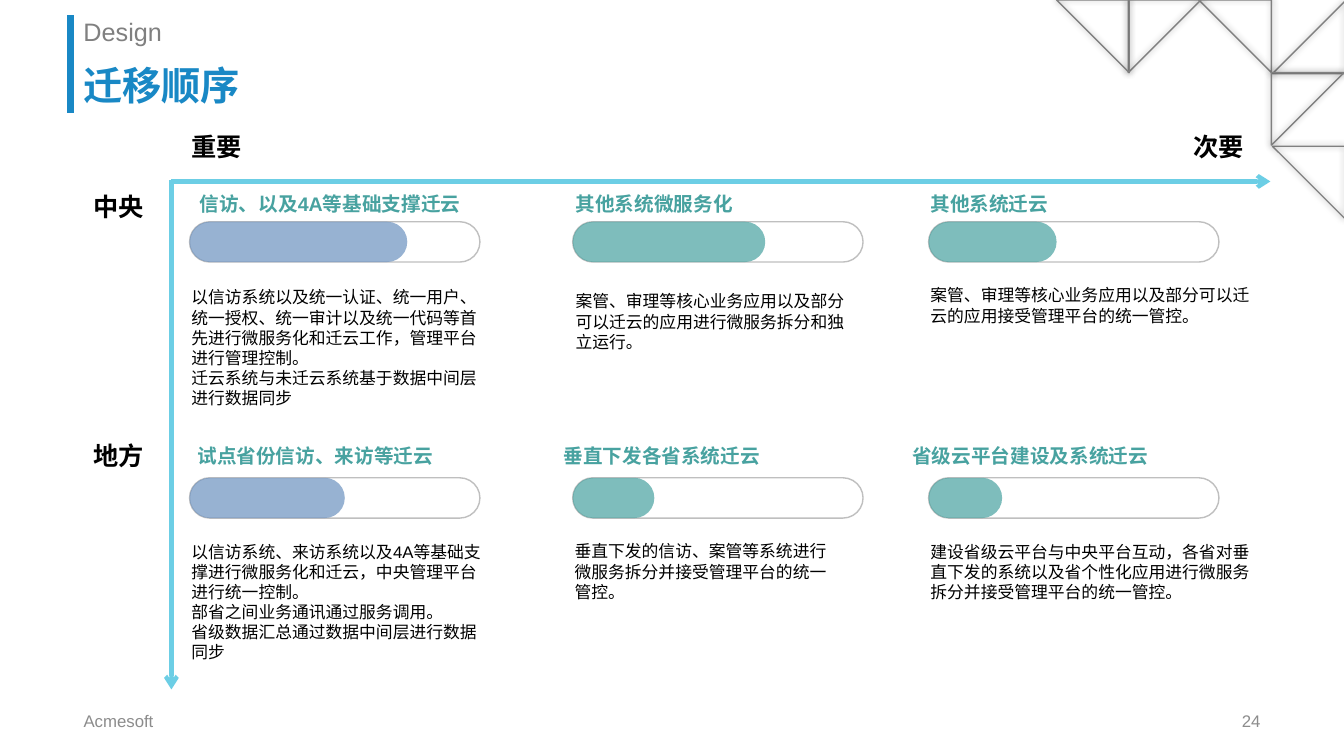
"""Build the migration order slide: two axes and six progress steps."""
from lxml import etree
from pptx import Presentation
from pptx.dml.color import RGBColor
from pptx.enum.shapes import MSO_CONNECTOR, MSO_SHAPE
from pptx.enum.text import MSO_ANCHOR, MSO_AUTO_SIZE, PP_ALIGN
from pptx.oxml.ns import qn
from pptx.util import Inches, Pt

LINE = MSO_CONNECTOR.STRAIGHT
TRIANGLE = MSO_SHAPE.RIGHT_TRIANGLE
PILL = MSO_SHAPE.ROUNDED_RECTANGLE
TOP, MIDDLE, BOTTOM = MSO_ANCHOR.TOP, MSO_ANCHOR.MIDDLE, MSO_ANCHOR.BOTTOM
GROW, FIXED = MSO_AUTO_SIZE.SHAPE_TO_FIT_TEXT, MSO_AUTO_SIZE.NONE
LEFT, RIGHT = PP_ALIGN.LEFT, PP_ALIGN.RIGHT

THEME = {
    "font": "Arial",
    "accent": "1988C5", "axis": "6CCEE5", "teal": "48A2A0", "blue": "6C92C0",
    "track": "BFBFBF", "ornament": "808080", "shadow": "000000",
    "title": {"size": Pt(28), "bold": True, "color": "1988C5"},
    "section": {"size": Pt(18), "bold": False, "color": "808080"},
    "footer": {"size": Pt(12), "bold": False, "color": "8C8C8C"},
    "heading": {"size": Pt(14), "bold": True, "color": "48A2A0"},
    "body": {"size": Pt(12), "bold": False, "color": "000000"},
    "label": {"size": Pt(18), "bold": True, "color": "000000"},
}


def add_child(parent, tag, **attrs):
    """Append a DrawingML element with the given attributes."""
    return etree.SubElement(parent, qn(f"a:{tag}"), attrs)


def add_text(box, paragraphs, style, frame=None, para=None):
    """Add a text box whose runs share one theme style."""
    tf = s.shapes.add_textbox(*map(Inches, box)).text_frame
    settings = {"word_wrap": True, "auto_size": GROW, "vertical_anchor": TOP}
    for name, value in (settings | (frame or {})).items():
        setattr(tf, name, value)
    for i, text in enumerate(paragraphs):
        p = tf.add_paragraph() if i else tf.paragraphs[0]
        for name, value in (para or {}).items():
            setattr(p, name, value)
        r = p.add_run()
        r.text = text
        r.font.name = THEME["font"]
        for name, value in THEME[style].items():
            if name == "color":
                r.font.color.rgb = RGBColor.from_string(value)
            else:
                setattr(r.font, name, value)


prs = Presentation()
prs.slide_width, prs.slide_height = Inches(13.33), Inches(7.5)
s = prs.slides.add_slide(prs.slide_layouts[6])

TILE = 0.72
for x, y, rotation in [(12.62, 0.01, 180), (11.89, 0, 90), (11.19, 0, 0),
                       (10.48, 0, 90), (12.62, 1.45, 90), (12.61, 0.72, 0)]:
    sp = s.shapes.add_shape(TRIANGLE, *map(Inches, (x, y, TILE, TILE)))
    sp.rotation = rotation
    sp.fill.background()
    sp.line.color.rgb = RGBColor.from_string(THEME["ornament"])
    sp.line.width = Pt(1)
    sp.shadow.inherit = False
    spPr = sp._element.spPr
    spPr.find(qn("a:xfrm")).set("flipV", "1")
    glow = add_child(spPr.find(qn("a:effectLst")), "outerShdw",
                     blurRad=str(Pt(5)), dist="0", dir="0", algn="ctr", rotWithShape="0")
    add_child(add_child(glow, "srgbClr", val=THEME["shadow"]), "alpha", val="40000")

for x1, y1, x2, y2, color, width, arrow in [
        (0.7, 0.15, 0.7, 1.12, "accent", 5, False),
        (1.7, 1.8, 12.6, 1.8, "axis", 3, True),
        (1.7, 1.79, 1.7, 6.84, "axis", 3, True)]:
    line = s.shapes.add_connector(LINE, *map(Inches, (x1, y1, x2, y2)))
    line.line.color.rgb = RGBColor.from_string(THEME[color])
    line.line.width = Pt(width)
    spPr = line._element.spPr
    if arrow:
        add_child(spPr.find(qn("a:ln")), "tailEnd", type="arrow")
    add_child(spPr, "effectLst")

add_text((0.73, 0.54, 11.87, 0.59), ["迁移顺序"], "title",
         {"auto_size": FIXED, "vertical_anchor": BOTTOM}, {"line_spacing": 0.9})
add_text((0.73, 0.15, 11.87, 0.39), ["Design"], "section",
         {"auto_size": FIXED}, {"line_spacing": 0.9, "space_before": Pt(10)})
for x, text, align in [(0.73, "Acmesoft", LEFT), (9.42, "24", RIGHT)]:
    add_text((x, 6.95, 3.18, 0.4), [text], "footer",
             {"auto_size": FIXED, "vertical_anchor": MIDDLE}, {"alignment": align})

for x, y, text in [(0.83, 1.85, "中央"), (0.83, 4.32, "地方"),
                   (1.8, 1.25, "重要"), (11.74, 1.25, "次要")]:
    add_text((x, y, 0.71, 0.4), [text], "label", {"word_wrap": False})

BAR_X = [1.88, 5.68, 9.21]
BAR_COLORS = ["blue", "teal", "teal"]
BAR_WIDTH, BAR_HEIGHT = 2.88, 0.4
ROWS = [
    (1.85, 2.2, [
        (2.16, 1.88, 3.72, "信访、以及4A等基础支撑迁云", (1.8, 2.8, 3.1, 1.31),
         ["以信访系统以及统一认证、统一用户、统一授权、统一审计以及统一代码等首先进行微服务化和迁云工作，管理平台进行管理控制。",
          "迁云系统与未迁云系统基于数据中间层进行数据同步"]),
        (1.91, 5.61, 2.29, "其他系统微服务化", (5.61, 2.84, 2.95, 0.73),
         ["案管、审理等核心业务应用以及部分可以迁云的应用进行微服务拆分和独立运行。"]),
        (1.27, 9.13, 1.77, "其他系统迁云", (9.13, 2.78, 3.43, 0.52),
         ["案管、审理等核心业务应用以及部分可以迁云的应用接受管理平台的统一管控。"]),
    ]),
    (4.35, 4.74, [
        (1.54, 1.86, 3.35, "试点省份信访、来访等迁云", (1.8, 5.32, 3.1, 1.31),
         ["以信访系统、来访系统以及4A等基础支撑进行微服务化和迁云，中央管理平台进行统一控制。",
          "部省之间业务通讯通过服务调用。",
          "省级数据汇总通过数据中间层进行数据同步"]),
        (0.81, 5.49, 2.82, "垂直下发各省系统迁云", (5.6, 5.32, 2.78, 0.73),
         ["垂直下发的信访、案管等系统进行微服务拆分并接受管理平台的统一管控。"]),
        (0.73, 8.95, 3.35, "省级云平台建设及系统迁云", (9.13, 5.32, 3.43, 0.71),
         ["建设省级云平台与中央平台互动，各省对垂直下发的系统以及省个性化应用进行微服务拆分并接受管理平台的统一管控。"]),
    ]),
]
for heading_y, bar_y, steps in ROWS:
    for bar_x, color, step in zip(BAR_X, BAR_COLORS, steps):
        progress, heading_x, heading_width, heading, body_box, body = step
        for width, fill in [(BAR_WIDTH, None), (progress, THEME[color])]:
            sp = s.shapes.add_shape(PILL, *map(Inches, (bar_x, bar_y, width, BAR_HEIGHT)))
            sp.adjustments[0] = 0.5
            sp.shadow.inherit = False
            if fill:
                sp.fill.solid()
                sp.fill.fore_color.rgb = RGBColor.from_string(fill)
                tint = sp._element.spPr.find(f"{qn('a:solidFill')}/{qn('a:srgbClr')}")
                add_child(tint, "alpha", val="70000")
                sp.line.fill.background()
            else:
                sp.fill.background()
                sp.line.color.rgb = RGBColor.from_string(THEME["track"])
                sp.line.width = Pt(1)
        add_text((heading_x, heading_y, heading_width, 0.34), [heading], "heading")
        add_text(body_box, body, "body")

prs.save("out.pptx")
